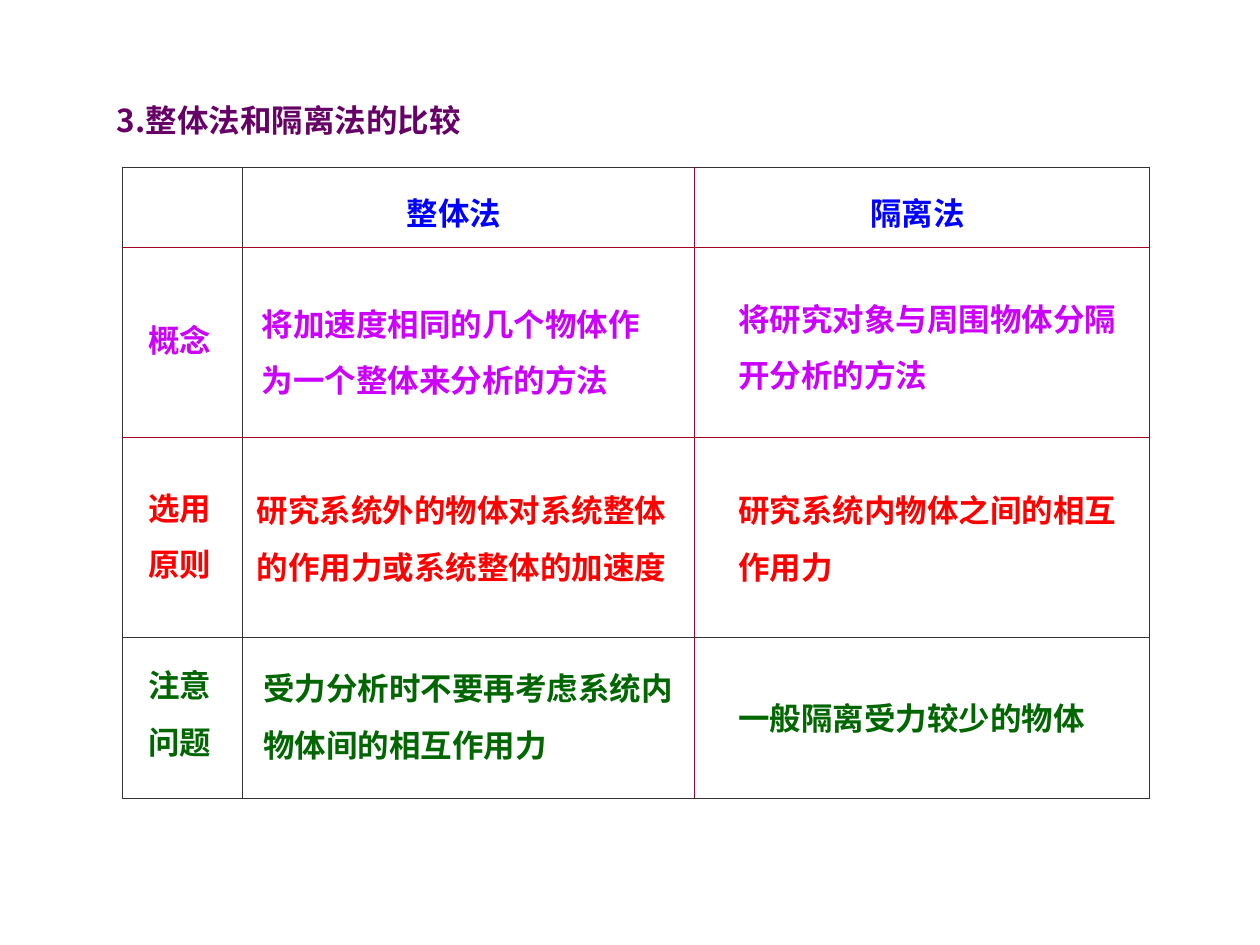
from dataclasses import dataclass

from lxml import etree
from pptx import Presentation
from pptx.dml.color import RGBColor
from pptx.enum.text import MSO_AUTO_SIZE
from pptx.oxml.ns import qn
from pptx.util import Inches, Pt

FIT = MSO_AUTO_SIZE.SHAPE_TO_FIT_TEXT
FONT = "Noto Sans CJK SC"
PLUM = RGBColor(0x66, 0x00, 0x66)
BLUE = RGBColor(0x00, 0x00, 0xFF)
VIOLET = RGBColor(0xCC, 0x00, 0xFF)
RED = RGBColor(0xFF, 0x00, 0x00)
GREEN = RGBColor(0x00, 0x66, 0x00)
WINE = RGBColor(0xA5, 0x00, 0x21)
DARK = RGBColor(0x33, 0x33, 0x33)

COLS = (0.95, 3.59, 3.61)
ROWS = (0.63, 1.51, 1.59, 1.28)
# Colour of each rule, from the left and from the top
UPRIGHT = (DARK, DARK, WINE, DARK)
LEVEL = (DARK, WINE, WINE, DARK, DARK)


@dataclass
class Note:
    left: float
    top: float
    width: float
    color: RGBColor
    lines: tuple[str, ...]


NOTES = (
    # Title
    Note(0.83, 0.6, 8.16, PLUM, ("3.整体法和隔离法的比较",)),
    # Row heads
    Note(1.08, 2.35, 1.59, VIOLET, ("概念",)),
    Note(1.08, 3.68, 1.59, RED, ("选用", "原则")),
    Note(1.08, 5.09, 1.59, GREEN, ("注意", "问题")),
    # Column heads
    Note(3.13, 1.34, 1.59, BLUE, ("整体法",)),
    Note(6.81, 1.34, 1.59, BLUE, ("隔离法",)),
    # Whole-system method
    Note(1.98, 2.22, 4.62, VIOLET, ("将加速度相同的几个物体作", "为一个整体来分析的方法")),
    Note(1.94, 3.7, 4.62, RED, ("研究系统外的物体对系统整体", "的作用力或系统整体的加速度")),
    Note(1.99, 5.11, 4.62, GREEN, ("受力分析时不要再考虑系统内", "物体间的相互作用力")),
    # Isolation method
    Note(5.76, 2.18, 4.05, VIOLET, ("将研究对象与周围物体分隔", "开分析的方法")),
    Note(5.76, 3.7, 3.68, RED, ("研究系统内物体之间的相互", "作用力")),
    Note(5.76, 5.35, 3.62, GREEN, ("一般隔离受力较少的物体",)),
)


def add_edge(cell, side: str, color: RGBColor) -> None:
    line = etree.SubElement(cell._tc.get_or_add_tcPr(), qn(f"a:{side}"), w=str(Pt(0.45)))
    fill = etree.SubElement(line, qn("a:solidFill"))
    etree.SubElement(fill, qn("a:srgbClr"), val=str(color))


def add_grid(slide) -> None:
    table = slide.shapes.add_table(
        len(ROWS), len(COLS), Inches(0.97), Inches(1.33),
        Inches(sum(COLS)), Inches(sum(ROWS))).table
    table.first_row = table.horz_banding = False
    for col, width in zip(table.columns, COLS):
        col.width = Inches(width)
    for r, (row, height) in enumerate(zip(table.rows, ROWS)):
        row.height = Inches(height)
        for c, cell in enumerate(row.cells):
            add_edge(cell, "lnL", UPRIGHT[c])
            add_edge(cell, "lnR", UPRIGHT[c + 1])
            add_edge(cell, "lnT", LEVEL[r])
            add_edge(cell, "lnB", LEVEL[r + 1])
            cell.fill.background()


def add_note(slide, note: Note) -> None:
    height = 0.1 + 0.45 * len(note.lines)
    box = slide.shapes.add_textbox(
        Inches(note.left), Inches(note.top), Inches(note.width), Inches(height))
    frame = box.text_frame
    frame.word_wrap = True
    frame.auto_size = FIT
    frame.text = "\n".join(note.lines)
    for para in frame.paragraphs:
        para.line_spacing = 1.5
        font = para.font
        font.size = Pt(18)
        font.bold = True
        font.color.rgb = note.color
        font.name = FONT
        # East Asian typeface
        props = para._p.pPr.find(qn("a:defRPr"))
        etree.SubElement(props, qn("a:ea"), typeface=FONT)


def main() -> None:
    deck = Presentation()
    deck.slide_width, deck.slide_height = Inches(10), Inches(7.5)
    slide = deck.slides.add_slide(deck.slide_layouts[6])
    add_grid(slide)
    for note in NOTES:
        add_note(slide, note)
    deck.save("out.pptx")


if __name__ == "__main__":
    main()
